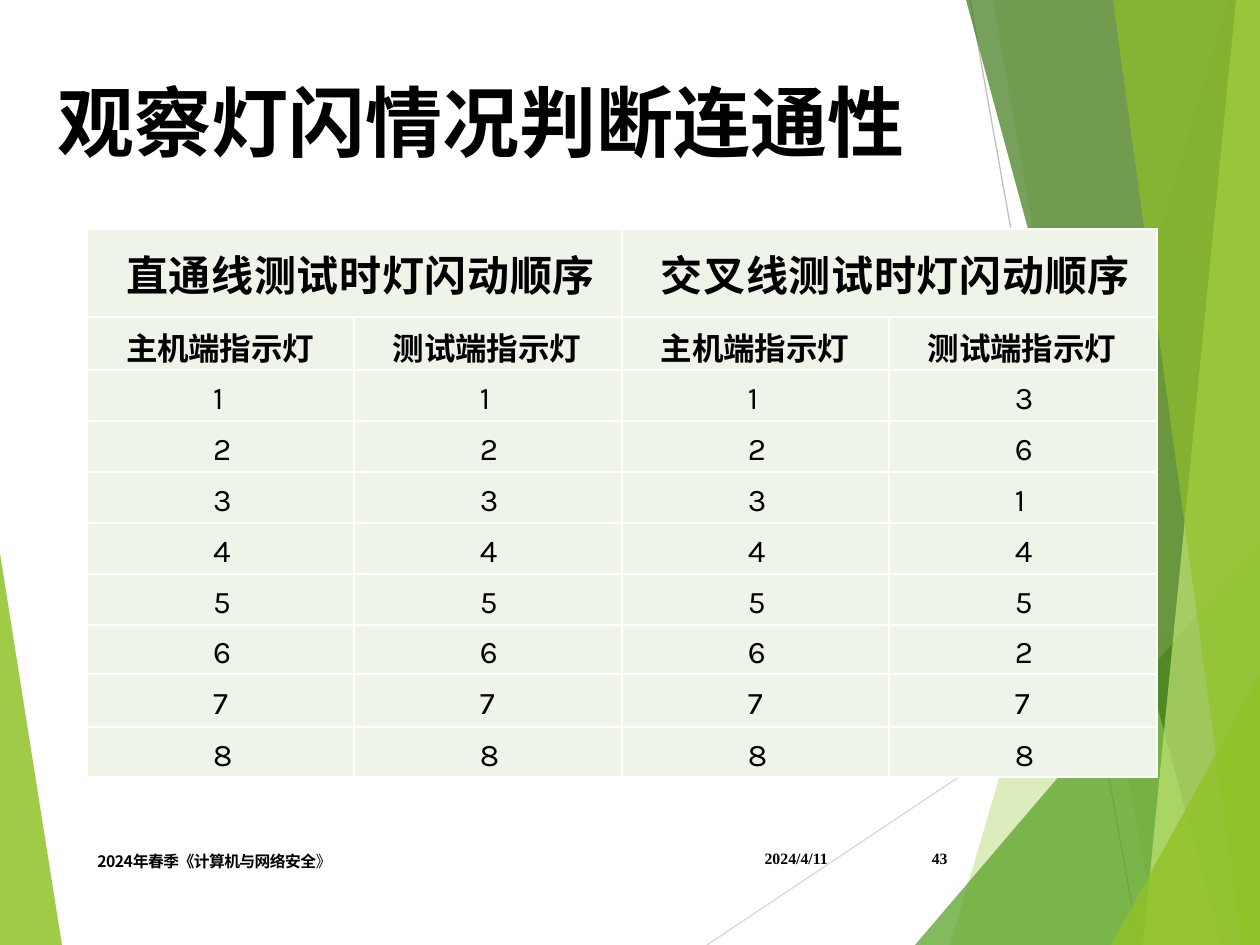
from dataclasses import dataclass

from lxml.etree import SubElement
from pptx import Presentation
from pptx.dml.color import RGBColor
from pptx.enum.shapes import MSO_CONNECTOR as Connector
from pptx.enum.text import MSO_ANCHOR as Anchor, PP_ALIGN as Align
from pptx.oxml.ns import qn
from pptx.util import Pt

SCALE = 914400 / 126


@dataclass(frozen=True)
class Theme:
    ink: str = "000000"
    cell: str = "EEF4E8"
    border: str = "FFFFFF"
    lime: str = "90C226"
    green: str = "54A021"
    forest: str = "3F7819"
    pale: str = "C0E474"
    light_line: str = "D9D9D9"
    gray_line: str = "BFBFBF"
    cjk: str = "Noto Sans CJK SC"
    digits: str = "Karla"
    serif: str = "Times New Roman"
    title: int = 44
    group: int = 24
    body: int = 18
    footer: int = 9


THEME = Theme()


def px(value):
    return round(value * SCALE)


def rgb(code):
    return RGBColor.from_string(code)


def add_run(paragraph, wording, font, size, bold=True, spacing=0):
    run = paragraph.add_run()
    run.text = wording
    run.font.name, run.font.size, run.font.bold = font, Pt(size), bold
    run.font.color.rgb = rgb(THEME.ink)
    properties = run.font._element
    SubElement(properties, qn("a:ea")).set("typeface", THEME.cjk)
    if spacing:
        properties.set("spc", str(spacing))


def add_facet(slide, box, points, color, opacity):
    left, top = box[:2]
    corners = [(px(left + x), px(top + y)) for x, y in points]
    builder = slide.shapes.build_freeform(*corners[0])
    builder.add_line_segments(corners[1:], close=True)
    facet = builder.convert_to_shape()
    facet.shadow.inherit = False
    facet.fill.solid()
    facet.fill.fore_color.rgb = rgb(color)
    facet.line.fill.background()
    tint = facet._element.spPr.find(qn("a:solidFill")).find(qn("a:srgbClr"))
    SubElement(tint, qn("a:alpha")).set("val", str(opacity * 1000))


def add_ray(slide, box, start, end, color):
    left, top = box[:2]
    ray = slide.shapes.add_connector(
        Connector.STRAIGHT,
        px(left + start[0]), px(top + start[1]), px(left + end[0]), px(top + end[1]))
    ray.line.color.rgb = rgb(color)
    ray.line.width = Pt(0.75)
    SubElement(ray._element.spPr, qn("a:effectLst"))


def add_backdrop(slide, box):
    right, bottom = box[2:]
    add_facet(slide, box, [(0, 553), (62, bottom), (0, bottom)], THEME.lime, 85)
    add_ray(slide, box, (707, bottom), (right, 576), THEME.light_line)
    add_ray(slide, box, (970, 0), (1139, bottom), THEME.gray_line)
    facets = [
        ([(1228, 0), (950, bottom)], 0, THEME.lime, 30),
        ([(993, 0), (1158, bottom)], 0, THEME.lime, 20),
        ([(915, bottom)], 541, THEME.green, 72),
        ([(966, 0), (1222, bottom)], 0, THEME.forest, 70),
        ([(1236, 0), (1143, bottom)], 0, THEME.pale, 70),
        ([(1113, 0), (1242, bottom)], 0, THEME.lime, 65),
        ([(1111, bottom)], 674, THEME.lime, 80),
    ]
    for inner_edge, top, color, opacity in facets:
        outline = inner_edge + [(right, bottom), (right, top)]
        add_facet(slide, box, outline, color, opacity)


def style_cell(cell, indent, drop):
    properties = cell._tc.get_or_add_tcPr()
    for side in ("lnL", "lnR", "lnT", "lnB"):
        edge = SubElement(properties, qn(f"a:{side}"), w=str(Pt(1)))
        paint = SubElement(edge, qn("a:solidFill"))
        SubElement(paint, qn("a:srgbClr")).set("val", THEME.border)
    cell.fill.solid()
    cell.fill.fore_color.rgb = rgb(THEME.cell)
    cell.margin_left, cell.margin_top = px(indent), px(drop)
    cell.margin_right = cell.margin_bottom = 0
    cell.vertical_anchor = Anchor.MIDDLE


def add_light_table(slide, box):
    groups = ["直通线测试时灯闪动顺序", "", "交叉线测试时灯闪动顺序", ""]
    ends = ["主机端指示灯", "测试端指示灯"] * 2
    crossed = [3, 6, 1, 4, 5, 2, 7, 8]
    sequence = [[str(n)] * 3 + [str(far)] for n, far in enumerate(crossed, 1)]
    rows = [groups, ends] + sequence
    heights = [88, 53] + [51] * 5 + [49, 53, 50]
    widths = [267, 268] * 2

    frame = slide.shapes.add_table(len(rows), len(widths), *map(px, box))
    table = frame.table
    table.first_row = table.horz_banding = False
    for column, width in zip(table.columns, widths):
        column.width = px(width)
    for row, height in zip(table.rows, heights):
        row.height = px(height)
    for first in (0, 2):
        table.cell(0, first).merge(table.cell(0, first + 1))

    styles = [(39, 0, THEME.group, True, 40), (39, 6, THEME.body, True, -10)]
    digit_style = (126, 8, THEME.body, False, -10)
    for r, wordings in enumerate(rows):
        indent, drop, size, bold, spacing = styles[r] if r < 2 else digit_style
        font = THEME.cjk if r < 2 else THEME.digits
        for c, wording in enumerate(wordings):
            cell = table.cell(r, c)
            style_cell(cell, indent, drop)
            if wording:
                add_run(cell.text_frame.paragraphs[0], wording, font, size, bold, spacing)


def add_title(slide, box):
    frame = slide.shapes.add_textbox(*map(px, box)).text_frame
    frame.word_wrap = True
    frame.margin_left = px(1)
    frame.margin_top = frame.margin_right = frame.margin_bottom = 0
    heading = frame.paragraphs[0]
    heading.line_spacing = 0.86
    add_run(heading, "观察灯闪情况判断连通性", THEME.cjk, THEME.title)


def add_footer(slide, box):
    left, top, _, height = box
    parts = [
        (660, 95, Align.RIGHT, 6, [("2024/4/11", THEME.serif, True, 0)]),
        (0, 638, Align.LEFT, 12, [
            ("2024年春季《计算机与网络安全", THEME.cjk, True, -30),
            ("》", THEME.cjk, False, -30)]),
        (804, 71, Align.RIGHT, 6, [("43", THEME.serif, True, 0)]),
    ]
    for offset, width, align, drop, runs in parts:
        place = (left + offset, top, width, height)
        frame = slide.shapes.add_textbox(*map(px, place)).text_frame
        frame.word_wrap = True
        frame.vertical_anchor = Anchor.MIDDLE
        frame.margin_top = px(drop)
        line = frame.paragraphs[0]
        line.alignment = align
        for wording, font, bold, spacing in runs:
            add_run(line, wording, font, THEME.footer, bold, spacing)


def main():
    deck = Presentation()
    deck.slide_width, deck.slide_height = px(1260), px(945)
    slide = deck.slides.add_slide(deck.slide_layouts[6])
    add_backdrop(slide, (0, 0, 1260, 945))
    add_light_table(slide, (87, 229, 1070, 548))
    add_title(slide, (57, 88, 854, 92))
    add_footer(slide, (85, 833, 875, 50))
    deck.save("out.pptx")


if __name__ == "__main__":
    main()
